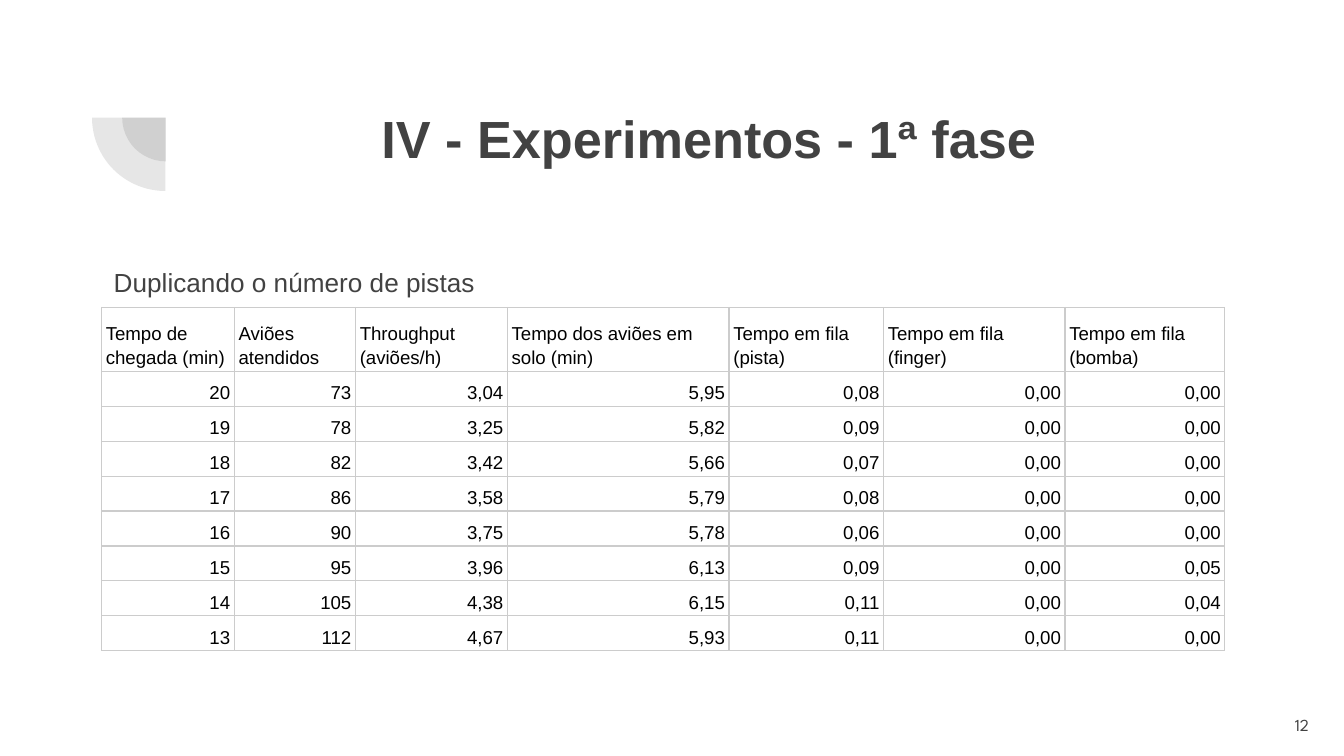
"""Build the slide with the results of the first phase of experiments."""
from lxml import etree
from pptx import Presentation
from pptx.dml.color import RGBColor
from pptx.enum import shapes, text
from pptx.oxml import ns
from pptx.util import Cm, Pt

GREY, BLACK, BORDER = "424242", "000000", "CCCCCC"
LEFT, RIGHT = text.PP_ALIGN.LEFT, text.PP_ALIGN.RIGHT
HEADERS = ["Tempo de chegada (min)", "Aviões atendidos", "Throughput (aviões/h)",
           "Tempo dos aviões em solo (min)", "Tempo em fila (pista)",
           "Tempo em fila (finger)", "Tempo em fila (bomba)"]
RESULTS = [
    ["20", "73", "3,04", "5,95", "0,08", "0,00", "0,00"],
    ["19", "78", "3,25", "5,82", "0,09", "0,00", "0,00"],
    ["18", "82", "3,42", "5,66", "0,07", "0,00", "0,00"],
    ["17", "86", "3,58", "5,79", "0,08", "0,00", "0,00"],
    ["16", "90", "3,75", "5,78", "0,06", "0,00", "0,00"],
    ["15", "95", "3,96", "6,13", "0,09", "0,00", "0,05"],
    ["14", "105", "4,38", "6,15", "0,11", "0,00", "0,04"],
    ["13", "112", "4,67", "5,93", "0,11", "0,00", "0,00"],
]
WIDTHS = [2.51, 2.29, 2.87, 4.19, 2.92, 3.43, 3.02]


def color(value):
    return RGBColor.from_string(value)


def write(tf, words, size, align, hue=GREY, font="Arial", bold=False, spacing=1.0):
    tf.text = words
    tf.word_wrap = True
    p = tf.paragraphs[0]
    p.alignment, p.line_spacing = align, spacing
    r = p.runs[0]
    r.font.name, r.font.size, r.font.bold = font, Pt(size), bold
    r.font.color.rgb = color(hue)


prs = Presentation()
prs.slide_width, prs.slide_height = Cm(25.4), Cm(14.29)
slide = prs.slides.add_slide(prs.slide_layouts[6])

for left, top, size in [(2.31, 1.4, 1.65), (1.74, 0.84, 2.77)]:
    sp = slide.shapes.add_shape(shapes.MSO_SHAPE.PIE, Cm(left), Cm(top), Cm(size), Cm(size))
    sp.adjustments[0], sp.adjustments[1] = 108, 162
    sp.rotation = 270
    sp.shadow.inherit = False
    sp.line.fill.background()
    sp.fill.solid()
    sp.fill.fore_color.rgb = color(GREY)
    rgb = sp.fill._xPr.find(".//" + ns.qn("a:srgbClr"))
    etree.SubElement(rgb, ns.qn("a:alpha"), val="13000")

boxes = [
    ((3.63, 1.76, 19.53, 2.77), text.MSO_ANCHOR.TOP,
     dict(words="IV - Experimentos - 1ª fase", size=28, align=text.PP_ALIGN.CENTER, bold=True)),
    ((23.47, 13.16, 1.52, 1.09), text.MSO_ANCHOR.MIDDLE,
     dict(words="12", size=9, align=RIGHT, font="League Spartan")),
    ((1.9, 4.7, 10.24, 8.5), text.MSO_ANCHOR.TOP,
     dict(words="Duplicando o número de pistas", size=14, align=LEFT, spacing=1.15)),
]
for place, anchor, style in boxes:
    tf = slide.shapes.add_textbox(*map(Cm, place)).text_frame
    tf.margin_left = tf.margin_right = tf.margin_top = tf.margin_bottom = Cm(0.25)
    tf.vertical_anchor = anchor
    write(tf, **style)

rows = [HEADERS] + RESULTS
heights = [1.21] + [0.66] * len(RESULTS)
table = slide.shapes.add_table(len(rows), len(WIDTHS), Cm(1.92), Cm(5.81),
                               Cm(sum(WIDTHS)), Cm(sum(heights))).table
table.first_row = table.horz_banding = False
for column, width in zip(table.columns, WIDTHS):
    column.width = Cm(width)
for i, (row, height) in enumerate(zip(rows, heights)):
    table.rows[i].height = Cm(height)
    for j, words in enumerate(row):
        cell = table.cell(i, j)
        write(cell.text_frame, words, 10, RIGHT if i else LEFT, BLACK, spacing=1.15)
        cell.vertical_anchor = text.MSO_ANCHOR.BOTTOM
        cell.margin_left = cell.margin_right = Cm(0.08)
        cell.margin_top = cell.margin_bottom = Cm(0.05)
        tcPr = cell._tc.get_or_add_tcPr()
        for side in ("a:lnL", "a:lnR", "a:lnT", "a:lnB"):
            ln = etree.SubElement(tcPr, ns.qn(side), w=str(Pt(0.75)))
            fill = etree.SubElement(ln, ns.qn("a:solidFill"))
            etree.SubElement(fill, ns.qn("a:srgbClr"), val=BORDER)
        cell.fill.background()

prs.save("out.pptx")
